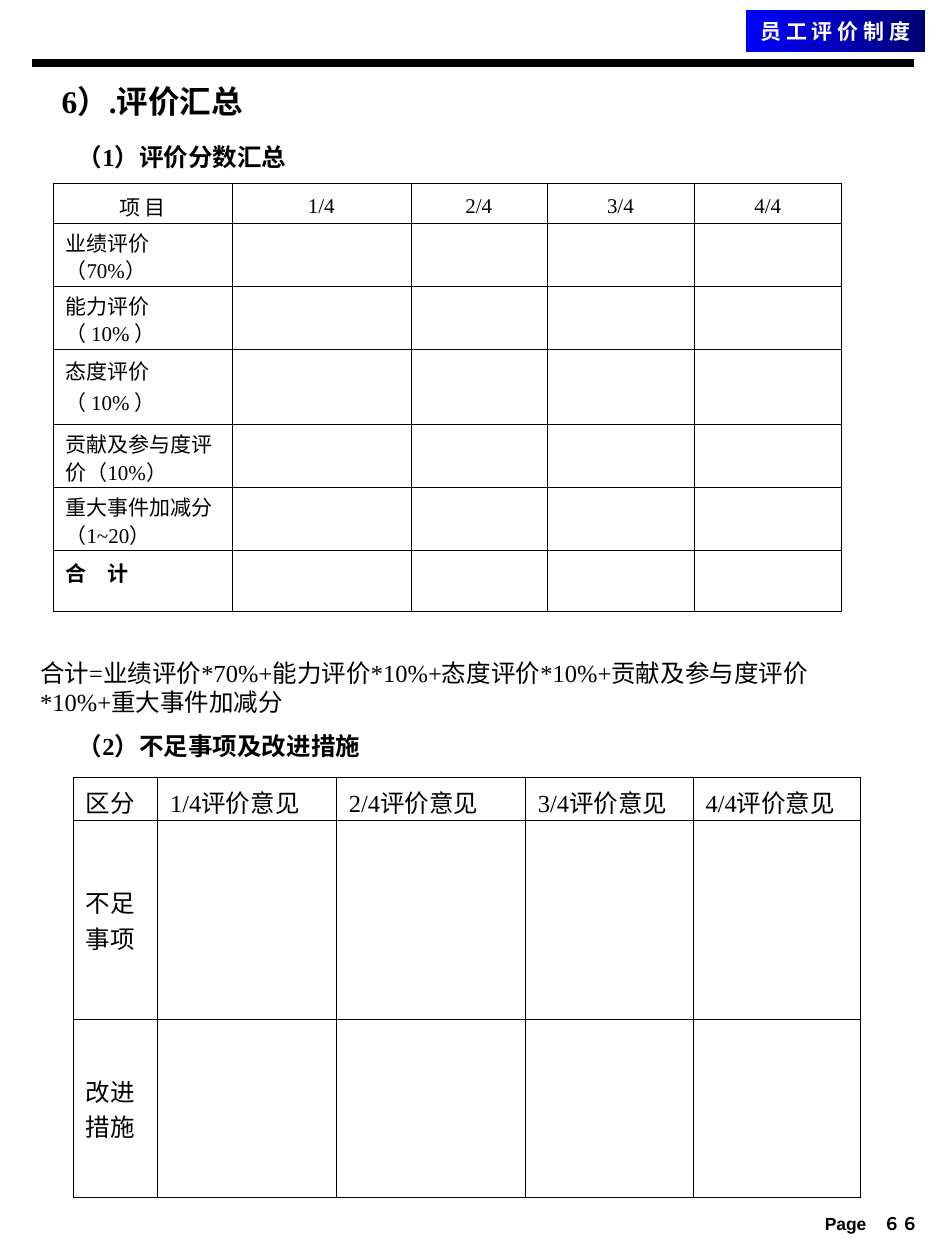
"""Build the staff review summary page with its two tables."""
import pptx
import pptx.dml.color
import pptx.enum.shapes
import pptx.enum.text
import pptx.oxml.ns
import pptx.util
from lxml import etree

Inches, Pt = pptx.util.Inches, pptx.util.Pt
ALIGN, ANCHOR = pptx.enum.text.PP_ALIGN, pptx.enum.text.MSO_ANCHOR
qn = pptx.oxml.ns.qn

THEME = {
    "ink": "000000", "white": "FFFFFF", "dark": "000075", "blue": "0000FF",
    "serif": "Times New Roman", "sans": "Arial", "han": "Noto Sans CJK SC",
    "title": 18, "head": 14, "body": 12, "foot": 10,
    "rule": 4.5, "thin": 0.11, "edge": 0.45, "tight": 0.9,
}
BADGE = "员 工 评 价 制 度"
TITLE = "6）.评价汇总"
SCORE = "（1）评价分数汇总"
PLAN = "（2）不足事项及改进措施"
SUM = "合计=业绩评价*70%+能力评价*10%+态度评价*10%+贡献及参与度评价\n*10%+重大事件加减分"
PAGE = "Page　６６"
TERMS = ["1/4", "2/4", "3/4", "4/4"]
ITEMS = ["业绩评价（70%）", "能力评价（ 10% ）", "态度评价（ 10% ）",
         "贡献及参与度评价（10%）", "重大事件加减分（1~20）", "合　计"]
NEEDS = ["不足事项", "改进措施"]
TABLES = [
    {"at": (0.42, 1.45), "cols": [1.42, 1.42, 1.08, 1.17, 1.17],
     "rows": [0.32, 0.5, 0.5, 0.6, 0.5, 0.5, 0.48],
     "head": ["项 目"] + TERMS, "side": ITEMS, "size": "body", "line": "thin",
     "align": ALIGN.CENTER, "top": ANCHOR.MIDDLE, "rest": ANCHOR.TOP},
    {"at": (0.58, 6.17), "cols": [0.67, 1.42, 1.5, 1.33, 1.33],
     "rows": [0.34, 1.58, 1.41],
     "head": ["区分"] + [term + "评价意见" for term in TERMS], "side": NEEDS,
     "size": "head", "line": "edge",
     "align": ALIGN.LEFT, "top": ANCHOR.TOP, "rest": ANCHOR.MIDDLE},
]


def tint(name):
    return pptx.dml.color.RGBColor.from_string(THEME[name])


def write(frame, text, size, bold=False, face="serif", ink="ink", align=ALIGN.LEFT):
    frame.text = text
    for para in frame.paragraphs:
        para.alignment = align
        for run in para.runs:
            font = run.font
            font.size, font.bold = Pt(THEME[size]), bold
            font.name, font.color.rgb = THEME[face], tint(ink)
            etree.SubElement(run._r.get_or_add_rPr(), qn("a:ea"), typeface=THEME["han"])


def label(slide, box, text, size, bold=True, **look):
    frame = slide.shapes.add_textbox(*map(Inches, box)).text_frame
    frame.word_wrap = True
    write(frame, text, size, bold, **look)


def border(cell, width):
    props = cell._tc.get_or_add_tcPr()
    for spot, side in enumerate(("lnL", "lnR", "lnT", "lnB")):
        line = etree.Element(qn("a:" + side), w=str(Pt(width)))
        fill = etree.SubElement(line, qn("a:solidFill"))
        etree.SubElement(fill, qn("a:srgbClr"), val=THEME["ink"])
        props.insert(spot, line)


def grid(slide, data):
    cols, rows = data["cols"], data["rows"]
    box = (*data["at"], sum(cols), sum(rows))
    table = slide.shapes.add_table(len(rows), len(cols), *map(Inches, box)).table
    table.first_row = table.horz_banding = False
    for col, width in zip(table.columns, cols):
        col.width = Inches(width)
    for row, high in zip(table.rows, rows):
        row.height = Inches(high)
    blank = [""] * (len(cols) - 1)
    texts = [data["head"]] + [[side] + blank for side in data["side"]]
    for r, line in enumerate(texts):
        for c, text in enumerate(line):
            cell = table.cell(r, c)
            cell.fill.background()
            border(cell, THEME[data["line"]])
            cell.vertical_anchor = data["rest"] if r else data["top"]
            if rows[r] < 1:
                cell.margin_bottom = 0
            if text:
                write(cell.text_frame, text, data["size"], text == ITEMS[-1],
                      align=ALIGN.LEFT if r else data["align"])
                if rows[r] == 0.5:
                    cell.text_frame.paragraphs[0].line_spacing = THEME["tight"]


def banner(slide):
    ends = map(Inches, (0.25, 0.5, 7.25, 0.5))
    rule = slide.shapes.add_connector(pptx.enum.shapes.MSO_CONNECTOR.STRAIGHT, *ends)
    rule.line.width, rule.line.color.rgb = Pt(THEME["rule"]), tint("ink")
    etree.SubElement(rule._element.spPr, qn("a:effectLst"))
    box = map(Inches, (5.92, 0.08, 1.42, 0.33))
    badge = slide.shapes.add_shape(pptx.enum.shapes.MSO_SHAPE.RECTANGLE, *box)
    badge.shadow.inherit = False
    badge.line.fill.background()
    badge.fill.gradient()
    badge.fill.gradient_angle = 180
    for stop, name, place in zip(badge.fill.gradient_stops, ("dark", "blue"), (0, 1)):
        stop.color.rgb, stop.position = tint(name), place
    frame = badge.text_frame
    frame.word_wrap, frame.vertical_anchor = False, ANCHOR.MIDDLE
    write(frame, BADGE, "body", True, "han", "white", ALIGN.CENTER)


def main():
    deck = pptx.Presentation()
    deck.slide_width, deck.slide_height = Inches(7.5), Inches(10)
    slide = deck.slides.add_slide(deck.slide_layouts[6])
    banner(slide)
    for data in TABLES:
        grid(slide, data)
    label(slide, (0.39, 0.6, 2, 0.4), TITLE, "title")
    label(slide, (0.52, 1.08, 2.1, 0.34), SCORE, "head")
    label(slide, (0.22, 5.17, 6.9, 0.57), SUM, "head", bold=False)
    label(slide, (0.52, 5.75, 2.7, 0.34), PLAN, "head")
    label(slide, (5.83, 9.58, 1.56, 0.25), PAGE, "foot",
          face="sans", align=ALIGN.RIGHT)
    deck.save("out.pptx")


if __name__ == "__main__":
    main()
